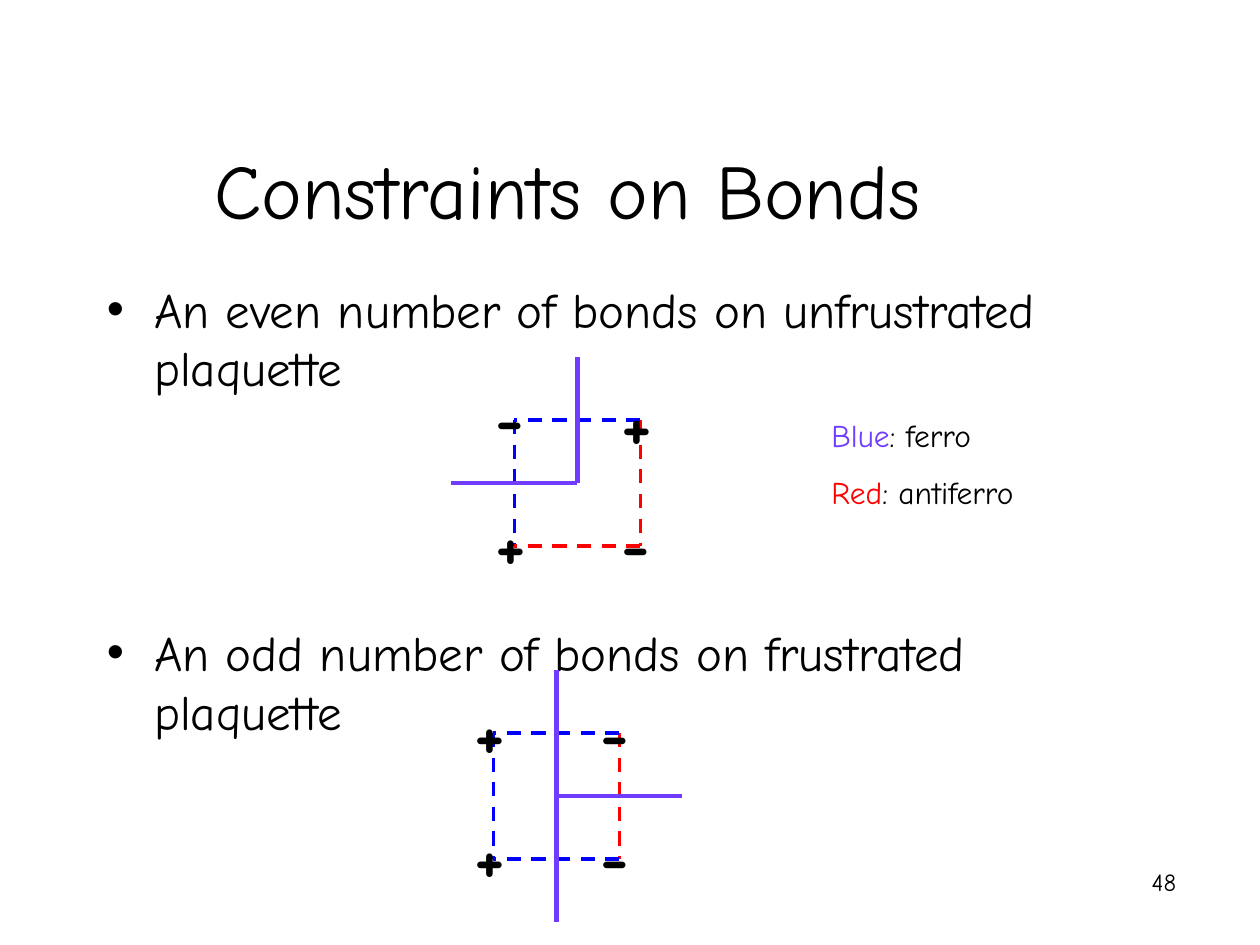
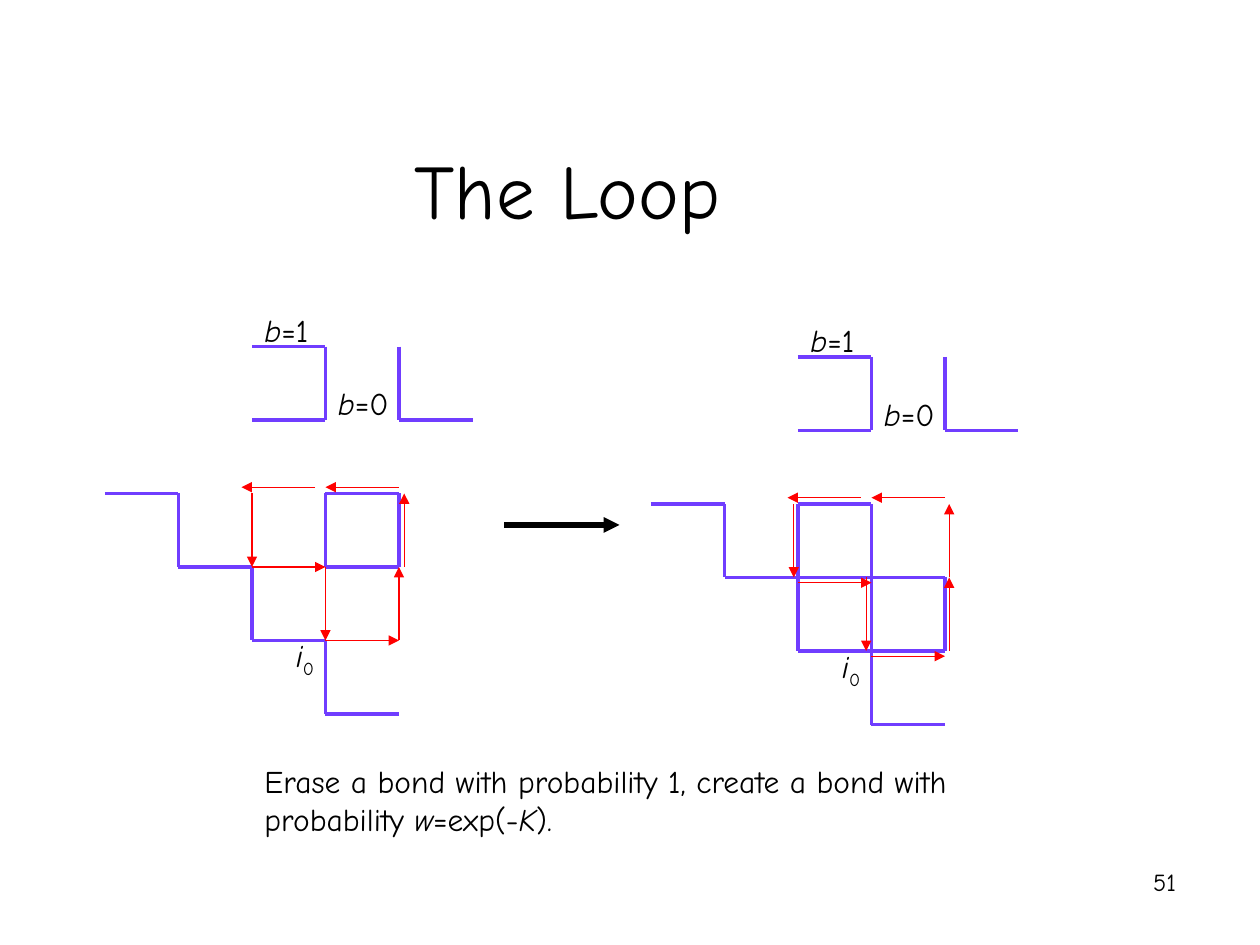
from dataclasses import dataclass
from typing import NamedTuple

from lxml import etree
from pptx import Presentation
from pptx.dml.color import RGBColor
from pptx.enum.dml import MSO_LINE
from pptx.enum.shapes import MSO_CONNECTOR
from pptx.enum.text import MSO_ANCHOR, PP_ALIGN
from pptx.oxml.ns import qn
from pptx.slide import Slide
from pptx.util import Emu, Pt

STRAIGHT = MSO_CONNECTOR.STRAIGHT
DASH = MSO_LINE.DASH
TOP, BOTTOM = MSO_ANCHOR.TOP, MSO_ANCHOR.BOTTOM
LEFT, CENTER, RIGHT = PP_ALIGN.LEFT, PP_ALIGN.CENTER, PP_ALIGN.RIGHT

SCALE = 7620
FONT = "Comic Neue"
HUES = {
    "text": "000000",
    "bond": "703DFF",
    "ferro": "0000FF",
    "anti": "FF0000",
}
SIDE = 120
STEP = 70
INDENT = 45


class Spot(NamedTuple):
    x: int
    y: int


class Box(NamedTuple):
    x: int
    y: int
    w: int
    h: int


class Run(NamedTuple):
    text: str
    hue: str = "text"
    slant: bool = False
    base: int = 0


class Pen(NamedTuple):
    hue: str
    width: float
    dashed: bool = False
    arrow: bool = False


class Style(NamedTuple):
    size: int
    align: PP_ALIGN = LEFT
    anchor: MSO_ANCHOR = TOP
    gap: float = 0
    bold: bool = False
    bullet: bool = False


@dataclass(frozen=True)
class Sign:
    text: str
    x: int
    y: int


@dataclass(frozen=True)
class Plaquette:
    spot: Spot
    base: str
    signs: tuple[Sign, ...]
    arms: tuple[Spot, ...]


@dataclass(frozen=True)
class Bond:
    start: Spot
    end: Spot


@dataclass(frozen=True)
class Move:
    bond: Bond
    shift: Spot


@dataclass(frozen=True)
class Lattice:
    spot: Spot
    extra: tuple[Bond, ...]
    shifts: tuple[Spot, ...]


BOND_PEN = Pen("bond", 2.5)
GRID_PEN = Pen("bond", 1.75)
LOOP_PEN = Pen("anti", 0.75, arrow=True)
STEP_PEN = Pen("text", 3, arrow=True)

TITLE = Style(44, CENTER, BOTTOM)
BODY = Style(28, gap=129, bullet=True)
NOTE = Style(18, gap=11.2)
SIGN = Style(40, bold=True)
PAGE = Style(14, RIGHT)


def bonds(*ends: tuple[int, int, int, int]) -> tuple[Bond, ...]:
    return tuple(Bond(Spot(a, b), Spot(c, d)) for a, b, c, d in ends)


PLAQUETTES = (
    Plaquette(
        Spot(490, 400), "anti",
        (Sign("-", 0, -50), Sign("+", SIDE, -44),
         Sign("+", 0, 70), Sign("-", SIDE, 70)),
        (Spot(-1, 0), Spot(0, -1)),
    ),
    Plaquette(
        Spot(470, 698), "ferro",
        (Sign("+", 0, -48), Sign("-", SIDE, -48),
         Sign("+", 0, 70), Sign("-", SIDE, 70)),
        (Spot(1, 0), Spot(0, -1), Spot(0, 1)),
    ),
)

SHARED = bonds(
    (2, 0, 3, 0), (3, 0, 3, 1), (2, 1, 3, 1), (4, 0, 4, 1), (4, 1, 5, 1),
    (0, 2, 1, 2), (1, 2, 1, 3), (1, 3, 2, 3), (2, 3, 2, 4), (2, 4, 3, 4),
    (3, 4, 3, 5), (3, 5, 4, 5), (3, 2, 3, 3), (3, 3, 4, 3),
)
LOOP = bonds(
    (3, 4, 4, 4), (4, 4, 4, 3), (4, 3, 4, 2), (4, 2, 3, 2),
    (3, 2, 2, 2), (2, 2, 2, 3), (2, 3, 3, 3), (3, 3, 3, 4),
)
STAY = Spot(0, 0)
LATTICES = (
    Lattice(
        Spot(100, 330),
        bonds((3, 2, 4, 2), (4, 2, 4, 3)),
        (STAY, STAY, Spot(5, 0), Spot(0, -6), Spot(-10, -6), STAY, STAY, STAY),
    ),
    Lattice(
        Spot(620, 340),
        bonds((3, 4, 4, 4), (2, 2, 3, 2), (2, 3, 3, 3),
              (2, 2, 2, 3), (4, 3, 4, 4), (3, 3, 3, 4)),
        (Spot(0, 5), Spot(4, 0), Spot(4, 0), Spot(0, -6),
         Spot(-10, -6), Spot(-4, 0), Spot(0, 5), Spot(-5, 0)),
    ),
)
LABELS = (
    (Box(140, -40, 90, 48), [Run("b", slant=True), Run("=1")]),
    (Box(210, 30, 90, 48), [Run("b", slant=True), Run("=0")]),
    (Box(170, 270, 72, 53), [Run("i", slant=True), Run("0", base=-25000)]),
)


def px(count: int) -> Emu:
    return Emu(count * SCALE)


def color(hue: str) -> RGBColor:
    return RGBColor.from_string(HUES[hue])


def add_text(slide: Slide, box: Box, style: Style, *lines: list[Run]) -> None:
    frame = slide.shapes.add_textbox(*map(px, box)).text_frame
    frame.word_wrap = True
    frame.vertical_anchor = style.anchor
    for index, line in enumerate(lines):
        para = frame.add_paragraph() if index else frame.paragraphs[0]
        para.alignment = style.align
        if index:
            para.space_before = Pt(style.gap)
        if style.bullet:
            props = para._p.get_or_add_pPr()
            props.set("marL", str(px(INDENT)))
            props.set("indent", str(px(-INDENT)))
            etree.SubElement(props, qn("a:buFont"), typeface="Arial")
            etree.SubElement(props, qn("a:buChar"), char="•")
        for item in line:
            run = para.add_run()
            run.text = item.text
            run.font.name = FONT
            run.font.size = Pt(style.size)
            run.font.bold = style.bold
            run.font.italic = item.slant
            run.font.color.rgb = color(item.hue)
            if item.base:
                run._r.get_or_add_rPr().set("baseline", str(item.base))


def add_line(slide: Slide, start: Spot, end: Spot, pen: Pen) -> None:
    link = slide.shapes.add_connector(STRAIGHT, *map(px, (*start, *end)))
    link.line.color.rgb = color(pen.hue)
    link.line.width = Pt(pen.width)
    if pen.dashed:
        link.line.dash_style = DASH
    props = link._element.spPr
    if pen.arrow:
        etree.SubElement(props.find(qn("a:ln")), qn("a:tailEnd"), type="triangle")
    etree.SubElement(props, qn("a:effectLst"))


def add_slide(deck: Presentation, title: str, page: int) -> Slide:
    slide = deck.slides.add_slide(deck.slide_layouts[6])
    add_text(slide, Box(90, 20, 901, 210), TITLE, [Run(title)])
    add_text(slide, Box(882, 820, 250, 60), PAGE, [Run(str(page))])
    return slide


def draw_plaquette(slide: Slide, item: Plaquette) -> None:
    x, y = item.spot
    a, b = Spot(x, y), Spot(x + SIDE, y)
    c, d = Spot(x, y + SIDE), Spot(x + SIDE, y + SIDE)
    edges = ((a, c, "ferro"), (b, d, "anti"), (b, a, "ferro"), (d, c, item.base))
    for start, end, hue in edges:
        add_line(slide, start, end, Pen(hue, 2, dashed=True))
    for sign in item.signs:
        box = Box(x + sign.x - 30, y + sign.y, 50, 92)
        add_text(slide, box, SIGN, [Run(sign.text)])
    mid = Spot(x + SIDE // 2, y + SIDE // 2)
    for arm in item.arms:
        end = Spot(mid.x + arm.x * SIDE, mid.y + arm.y * SIDE)
        add_line(slide, mid, end, BOND_PEN)


def draw_move(slide: Slide, spot: Spot, move: Move, pen: Pen) -> None:
    start, end = (
        Spot(spot.x + node.x * STEP + move.shift.x,
             spot.y + node.y * STEP + move.shift.y)
        for node in (move.bond.start, move.bond.end)
    )
    add_line(slide, start, end, pen)


def draw_lattice(slide: Slide, item: Lattice) -> None:
    for bond in SHARED + item.extra:
        draw_move(slide, item.spot, Move(bond, STAY), GRID_PEN)
    for bond, shift in zip(LOOP, item.shifts):
        draw_move(slide, item.spot, Move(bond, shift), LOOP_PEN)
    for box, runs in LABELS:
        place = Box(item.spot.x + box.x, item.spot.y + box.y, box.w, box.h)
        add_text(slide, place, NOTE, runs)


def build_bonds(deck: Presentation) -> None:
    slide = add_slide(deck, "Constraints on Bonds", 48)
    add_text(
        slide, Box(90, 260, 1010, 480), BODY,
        [Run("An even number of bonds on unfrustrated plaquette")],
        [Run("An odd number of bonds on frustrated plaquette")],
    )
    for item in PLAQUETTES:
        draw_plaquette(slide, item)
    add_text(
        slide, Box(780, 390, 260, 103), NOTE,
        [Run("Blue", "bond"), Run(": ferro")],
        [Run("Red", "anti"), Run(": antiferro")],
    )


def build_loop(deck: Presentation) -> None:
    slide = add_slide(deck, "The Loop", 51)
    for item in LATTICES:
        draw_lattice(slide, item)
    add_line(slide, Spot(480, 500), Spot(590, 500), STEP_PEN)
    add_text(
        slide, Box(240, 720, 680, 84), NOTE,
        [Run("Erase a bond with probability 1, create a bond with probability "),
         Run("w", slant=True), Run("=exp(-"), Run("K", slant=True), Run(").")],
    )


def main() -> None:
    deck = Presentation()
    deck.slide_width, deck.slide_height = px(1200), px(900)
    build_bonds(deck)
    build_loop(deck)
    deck.save("out.pptx")


if __name__ == "__main__":
    main()
